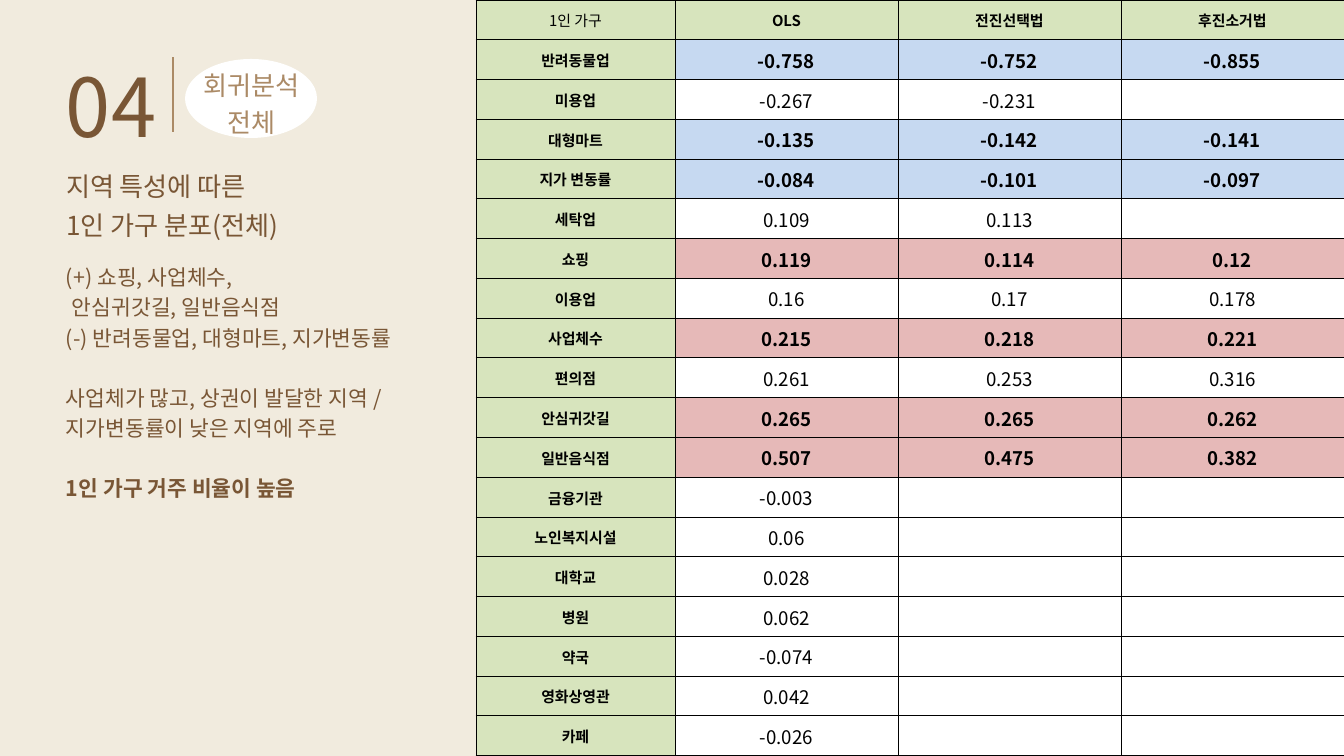
from lxml.etree import SubElement
from pptx import Presentation
from pptx.dml.color import RGBColor
from pptx.enum.shapes import MSO_CONNECTOR, MSO_SHAPE
from pptx.enum.text import MSO_ANCHOR, PP_ALIGN
from pptx.oxml.ns import qn
from pptx.util import Emu, Pt

SLIDE_WIDTH, SLIDE_HEIGHT = 1344, 756
EMU_PER_PX = 914400 / 67.2
FONT = "Noto Sans CJK KR"
BROWN, TAN, CREAM = "795635", "AB8A66", "F1EBDE"
BLACK, WHITE = "000000", "FFFFFF"
GREEN, BLUE, PINK = "D7E4BD", "C6D9F1", "E6B9B8"

HEADERS = ["1인 가구", "OLS", "전진선택법", "후진소거법"]
# Variable, fill of its values, coefficients by method
COEFFICIENTS = [
    ("반려동물업", BLUE, ["-0.758", "-0.752", "-0.855"]),
    ("미용업", WHITE, ["-0.267", "-0.231", ""]),
    ("대형마트", BLUE, ["-0.135", "-0.142", "-0.141"]),
    ("지가 변동률", BLUE, ["-0.084", "-0.101", "-0.097"]),
    ("세탁업", WHITE, ["0.109", "0.113", ""]),
    ("쇼핑", PINK, ["0.119", "0.114", "0.12"]),
    ("이용업", WHITE, ["0.16", "0.17", "0.178"]),
    ("사업체수", PINK, ["0.215", "0.218", "0.221"]),
    ("편의점", WHITE, ["0.261", "0.253", "0.316"]),
    ("안심귀갓길", PINK, ["0.265", "0.265", "0.262"]),
    ("일반음식점", PINK, ["0.507", "0.475", "0.382"]),
    ("금융기관", WHITE, ["-0.003", "", ""]),
    ("노인복지시설", WHITE, ["0.06", "", ""]),
    ("대학교", WHITE, ["0.028", "", ""]),
    ("병원", WHITE, ["0.062", "", ""]),
    ("약국", WHITE, ["-0.074", "", ""]),
    ("영화상영관", WHITE, ["0.042", "", ""]),
    ("카페", WHITE, ["-0.026", "", ""]),
]


def px(length):
    return Emu(round(length * EMU_PER_PX))


def color(hex_string):
    return RGBColor.from_string(hex_string)


def set_font(paragraph, size, hex_string, bold=False):
    font = paragraph.font
    font.size, font.bold, font.name = Pt(size), bold, FONT
    font.color.rgb = color(hex_string)
    properties = paragraph._p.pPr.find(qn("a:defRPr"))
    SubElement(properties, qn("a:ea")).set("typeface", FONT)


def add_text(slide, box, lines, size, line_height, hex_string=BROWN, align=PP_ALIGN.LEFT):
    """Add a text box without insets and return its paragraphs."""
    frame = slide.shapes.add_textbox(*map(px, box)).text_frame
    frame.word_wrap = True
    frame.margin_left = frame.margin_top = frame.margin_right = frame.margin_bottom = 0
    frame.text = "\n".join(lines)
    for paragraph in frame.paragraphs:
        paragraph.alignment = align
        paragraph.line_spacing = Pt(line_height)
        set_font(paragraph, size, hex_string)
    return frame.paragraphs


def add_section_mark(slide, left, top):
    add_text(slide, (left, top, 101, 106), ["04"], 87, 121.9)

    divider = slide.shapes.add_connector(
        MSO_CONNECTOR.STRAIGHT, px(left + 107), px(top + 92), px(left + 107), px(top + 17))
    divider.line.color.rgb = color(TAN)
    divider.line.width = Pt(1.5)
    SubElement(divider._element.spPr, qn("a:effectLst"))

    oval = slide.shapes.add_shape(
        MSO_SHAPE.OVAL, px(left + 119), px(top + 19), px(132), px(79))
    oval.shadow.inherit = False
    oval.fill.solid()
    oval.fill.fore_color.rgb = color(WHITE)
    oval.line.fill.background()
    add_text(slide, (left + 132, top + 24, 108, 73), ["회귀분석", "전체"],
             28, 39.3, TAN, PP_ALIGN.CENTER)


def add_findings(slide, left, top):
    add_text(slide, (left, top, 270, 77),
             ["지역 특성에 따른", "1인 가구 분포(전체)"], 28, 41.5)

    line_height = 32.3
    lines = ["(+) 쇼핑, 사업체수,", "안심귀갓길, 일반음식점",
             "(-) 반려동물업, 대형마트, 지가변동률",
             "사업체가 많고, 상권이 발달한 지역 /", "지가변동률이 낮은 지역에 주로",
             "1인 가구 거주 비율이 높음"]
    paragraphs = add_text(slide, (left, top + 97, 348, 302), lines,
                          23, line_height, align=PP_ALIGN.JUSTIFY)
    paragraphs[1]._p.pPr.set("marL", str(px(6)))
    for index in (3, 5):
        paragraphs[index].space_before = Pt(line_height)
    paragraphs[5].font.bold = True


def style_cell(cell, text, fill, size, bold):
    properties = cell._tc.get_or_add_tcPr()
    for side in ("a:lnL", "a:lnR", "a:lnT", "a:lnB"):
        border = SubElement(properties, qn(side), w=str(Pt(1)))
        SubElement(SubElement(border, qn("a:solidFill")), qn("a:srgbClr"), val=BLACK)
    cell.fill.solid()
    cell.fill.fore_color.rgb = color(fill)
    cell.vertical_anchor = MSO_ANCHOR.MIDDLE
    cell.margin_left = cell.margin_right = cell.margin_top = px(1)
    cell.margin_bottom = 0
    cell.text = text
    paragraph = cell.text_frame.paragraphs[0]
    paragraph.alignment = PP_ALIGN.CENTER
    set_font(paragraph, size, BLACK, bold)


def add_coefficient_table(slide, left, top, width, height):
    row_count = len(COEFFICIENTS) + 1
    table = slide.shapes.add_table(
        row_count, len(HEADERS), px(left), px(top), px(width), px(height)).table
    label_width = 199
    value_width = (width - label_width) / (len(HEADERS) - 1)
    for index, column in enumerate(table.columns):
        column.width = px(value_width if index else label_width)
    for row in table.rows:
        row.height = px(height / row_count)

    for column, header in enumerate(HEADERS):
        style_cell(table.cell(0, column), header, GREEN, 16, column > 0)
    for row, (variable, fill, values) in enumerate(COEFFICIENTS, start=1):
        style_cell(table.cell(row, 0), variable, GREEN, 16, True)
        for column, value in enumerate(values, start=1):
            style_cell(table.cell(row, column), value, fill, 20, fill != WHITE)


def main():
    presentation = Presentation()
    presentation.slide_width = px(SLIDE_WIDTH)
    presentation.slide_height = px(SLIDE_HEIGHT)
    slide = presentation.slides.add_slide(presentation.slide_layouts[6])
    slide.background.fill.solid()
    slide.background.fill.fore_color.rgb = color(CREAM)

    table_left = 476
    add_coefficient_table(slide, table_left, 0, SLIDE_WIDTH - table_left, SLIDE_HEIGHT)
    add_findings(slide, 66, 163)
    add_section_mark(slide, 66, 40)
    presentation.save("out.pptx")


if __name__ == "__main__":
    main()
